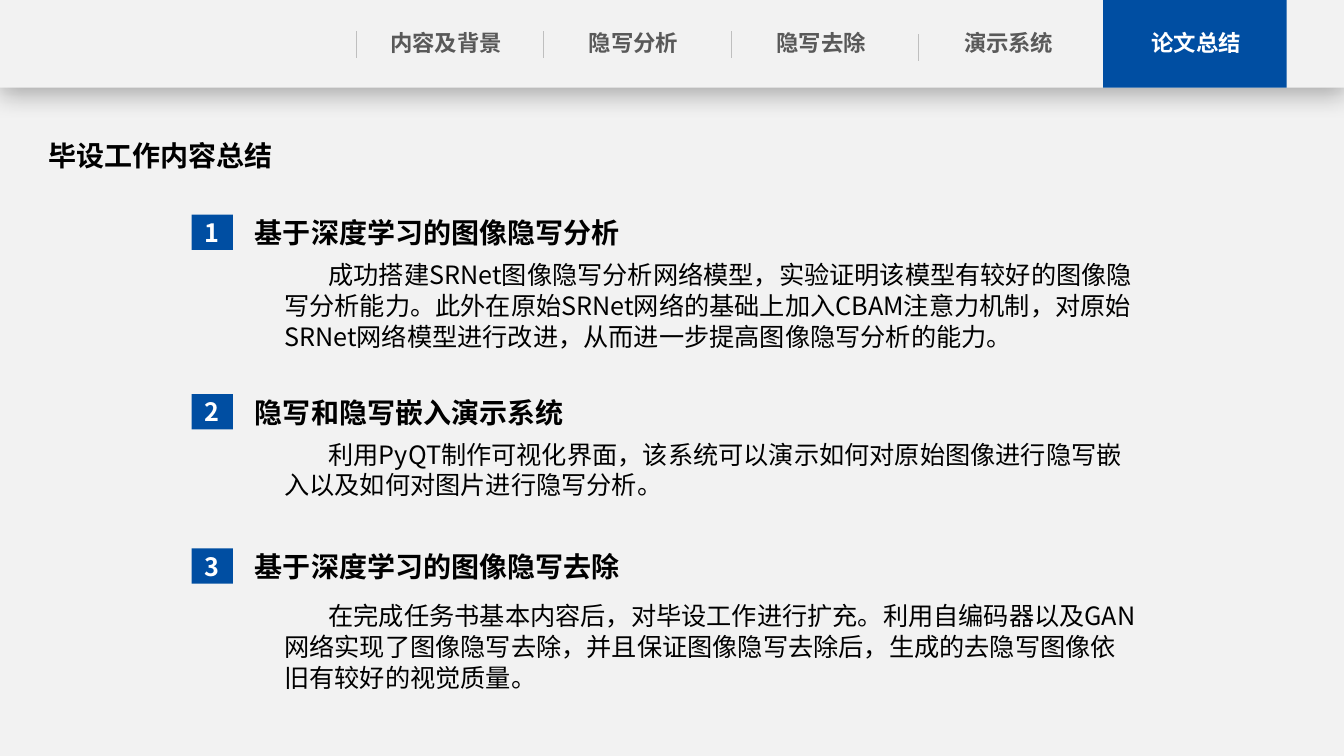
from lxml import etree
from pptx import Presentation
from pptx.dml.color import RGBColor
from pptx.enum.shapes import MSO_CONNECTOR, MSO_SHAPE
from pptx.enum.text import MSO_ANCHOR, PP_ALIGN
from pptx.oxml import parse_xml
from pptx.oxml.ns import qn
from pptx.util import Inches, Pt

LEFT, CENTER = PP_ALIGN.LEFT, PP_ALIGN.CENTER
TOP, MIDDLE = MSO_ANCHOR.TOP, MSO_ANCHOR.MIDDLE
RECTANGLE, STRAIGHT = MSO_SHAPE.RECTANGLE, MSO_CONNECTOR.STRAIGHT

FONT = "Noto Sans CJK SC"
BLUE = RGBColor(0x00, 0x4E, 0xA2)
PALE = RGBColor(0xF2, 0xF2, 0xF2)
GRAY = RGBColor(0x59, 0x59, 0x59)
RULE = RGBColor(0xBF, 0xBF, 0xBF)
BLACK = RGBColor(0x00, 0x00, 0x00)
WHITE = RGBColor(0xFF, 0xFF, 0xFF)

prs = Presentation()
prs.slide_width, prs.slide_height = Inches(13.33), Inches(7.5)
slide = prs.slides.add_slide(prs.slide_layouts[6])
slide.background.fill.solid()
slide.background.fill.fore_color.rgb = PALE


def add_bar(left, top, width, height, color):
    """Add a plain rectangle with no outline or shadow."""
    bar = slide.shapes.add_shape(
        RECTANGLE, Inches(left), Inches(top), Inches(width), Inches(height))
    bar.shadow.inherit = False
    bar.fill.solid()
    bar.fill.fore_color.rgb = color
    bar.line.fill.background()
    return bar


def write(text, box=None, shape=None, size=20, color=BLACK, bold=True, align=LEFT,
          anchor=TOP, margins=(0.1, 0.05), spacing=None, indent=0):
    """Write into a shape, or into a new text box at box (left, top, width, height)."""
    if shape is None:
        shape = slide.shapes.add_textbox(*[Inches(length) for length in box])
    frame = shape.text_frame
    frame.word_wrap = True
    frame.vertical_anchor = anchor
    frame.margin_left = frame.margin_right = Inches(margins[0])
    frame.margin_top = frame.margin_bottom = Inches(margins[1])
    paragraph = frame.paragraphs[0]
    paragraph.alignment = align
    paragraph.line_spacing = spacing
    if indent:
        paragraph._p.get_or_add_pPr().set("indent", str(Inches(indent)))
    run = paragraph.add_run()
    run.text = text
    run.font.size, run.font.bold = Pt(size), bold
    run.font.color.rgb = color
    run.font.name = FONT
    etree.SubElement(run._r.get_or_add_rPr(), qn("a:ea"), typeface=FONT)


# Navigation header
header = add_bar(0, 0, 13.33, 0.87, PALE)
header_shadow = parse_xml(
    '<a:outerShdw xmlns:a="http://schemas.openxmlformats.org/drawingml/2006/main" '
    f'blurRad="{Pt(18)}" dist="{Pt(4)}" dir="5400000" algn="t" rotWithShape="0">'
    '<a:srgbClr val="000000"><a:alpha val="29000"/></a:srgbClr></a:outerShdw>')
header._element.spPr.find(qn("a:effectLst")).append(header_shadow)
add_bar(10.94, 0, 1.82, 0.87, BLUE)

SECTIONS = ["内容及背景", "隐写分析", "隐写去除", "演示系统", "论文总结"]
CURRENT = "论文总结"
SECTION_PITCH = 1.86
for i, section in enumerate(SECTIONS):
    write(section, (3.69 + i * SECTION_PITCH, 0.24, 1.47, 0.37), size=16, align=CENTER,
          color=WHITE if section == CURRENT else GRAY, margins=(0, 0.05))

for i, top in enumerate([0.31, 0.31, 0.31, 0.34]):
    x = Inches(3.53 + i * SECTION_PITCH)
    divider = slide.shapes.add_connector(STRAIGHT, x, Inches(top), x, Inches(top + 0.27))
    divider.line.color.rgb = RULE
    divider.line.width = Pt(0.5)
    etree.SubElement(divider._element.spPr, qn("a:effectLst"))

# Summary of the work
write("毕设工作内容总结", (0.38, 1.33, 2.98, 0.44))

# Heading top, heading, body top, body height, body
SUMMARIES = [
    (2.09, "基于深度学习的图像隐写分析", 2.52, 1.02,
     "成功搭建SRNet图像隐写分析网络模型，实验证明该模型有较好的图像隐写分析能力。"
     "此外在原始SRNet网络的基础上加入CBAM注意力机制，对原始SRNet网络模型进行改进，"
     "从而进一步提高图像隐写分析的能力。"),
    (3.87, "隐写和隐写嵌入演示系统", 4.3, 0.72,
     "利用PyQT制作可视化界面，该系统可以演示如何对原始图像进行隐写嵌入"
     "以及如何对图片进行隐写分析。"),
    (5.4, "基于深度学习的图像隐写去除", 5.9, 1.02,
     "在完成任务书基本内容后，对毕设工作进行扩充。利用自编码器以及GAN网络实现了"
     "图像隐写去除，并且保证图像隐写去除后，生成的去隐写图像依旧有较好的视觉质量。"),
]
for number, (top, heading, body_top, body_height, body) in enumerate(SUMMARIES, 1):
    badge = add_bar(1.9, top + 0.04, 0.41, 0.35, BLUE)
    write(str(number), shape=badge, size=18, color=WHITE, align=CENTER,
          anchor=MIDDLE, margins=(0, 0))
    write(heading, (2.43, top, 4.08, 0.44))
    write(body, (2.72, body_top, 8.65, body_height), size=18, bold=False,
          spacing=Pt(22), indent=0.44)

prs.save("out.pptx")
